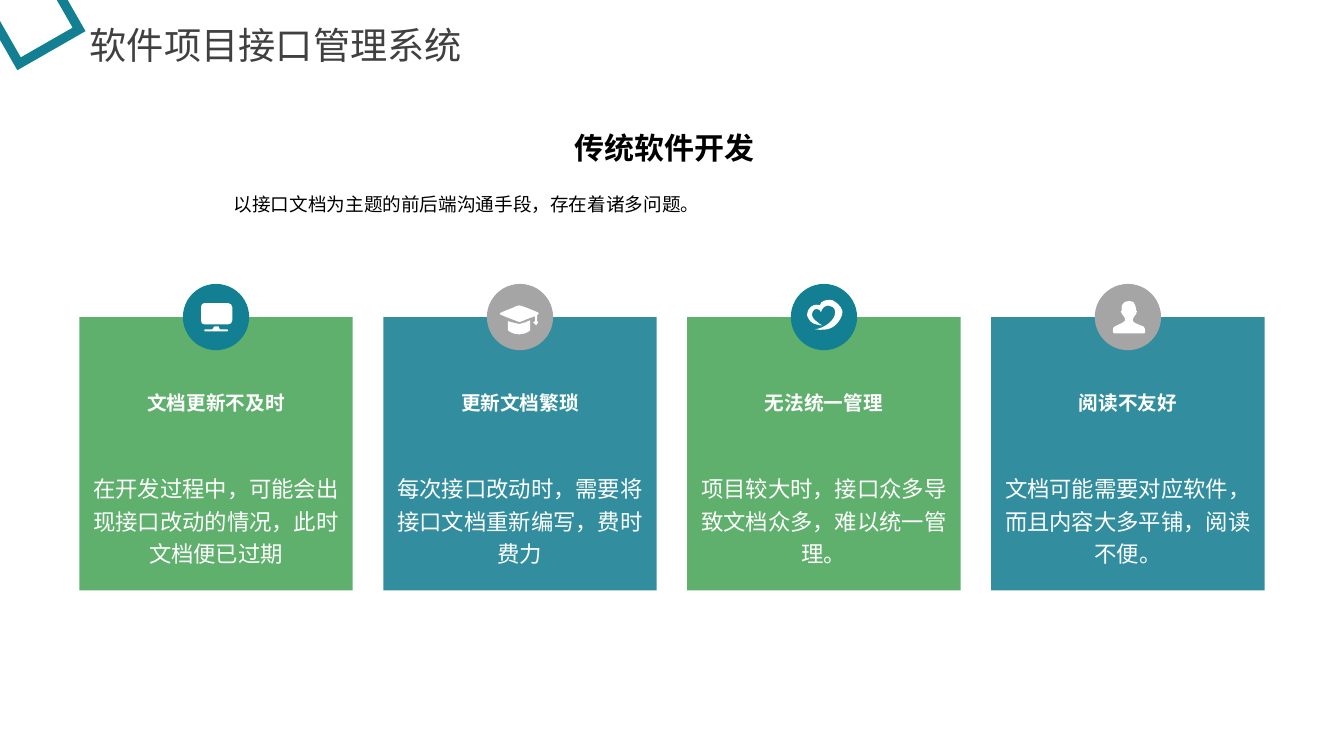
from lxml import etree
from pptx import Presentation
from pptx.dml.color import RGBColor
from pptx.enum.shapes import MSO_SHAPE
from pptx.enum.text import MSO_ANCHOR, PP_ALIGN
from pptx.oxml.ns import qn
from pptx.util import Cm, Pt

RECTANGLE, OVAL, FRAME = MSO_SHAPE.RECTANGLE, MSO_SHAPE.OVAL, MSO_SHAPE.FRAME
LEFT, CENTER = PP_ALIGN.LEFT, PP_ALIGN.CENTER
TOP, MIDDLE = MSO_ANCHOR.TOP, MSO_ANCHOR.MIDDLE
FONT = "Noto Sans CJK SC"
WHITE, BLACK, GRAY, TEAL = "FFFFFF", "000000", "A5A5A5", "127F93"
GREEN, BLUE = "45A454", "117C90"
CARD_OPACITY = "86000"

CARD_LEFT, CARD_TOP, CARD_SIZE, CARD_STEP = 2.0, 7.99, 6.89, 7.66
BADGE_SIZE = 1.67
LABEL_WIDTH = 3.63
ICON_UNIT = Cm(2.54) / 100

MONITOR = [
    [(45, 40), (21, 40), (19, 40, 18, 39, 18, 36), (18, 23),
     (18, 21, 19, 19, 21, 19), (45, 19), (47, 19, 49, 21, 49, 23),
     (49, 36), (49, 39, 47, 40, 45, 40)],
    [(22, 45), (29, 45), (30, 44), (30, 43, 31, 42, 32, 42), (35, 42),
     (36, 42, 36, 43, 36, 44), (37, 45), (44, 45), (45, 45, 45, 45, 45, 46),
     (45, 46, 45, 47, 44, 47), (22, 47), (21, 46)],
]
GRADUATION_CAP = [
    [(50, 31), (50, 37), (51, 38), (49, 41), (46, 38), (48, 37), (48, 32),
     (39, 35, 37, 36, 35, 37), (33, 38, 32, 38, 30, 37),
     (28, 36, 19, 33, 15, 31), (12, 30, 12, 29, 15, 28),
     (19, 26, 26, 24, 29, 22), (31, 21, 33, 21, 35, 22),
     (38, 23, 46, 26, 50, 28), (53, 29, 51, 30, 50, 31)],
    [(35, 39), (37, 39, 40, 37, 43, 36), (43, 46), (43, 46, 39, 50, 32, 50),
     (25, 50, 21, 46, 21, 46), (21, 37), (23, 38, 26, 38, 29, 39),
     (31, 40, 33, 40, 35, 39)],
]
HEART = [
    [(29, 21), (29, 17, 36, 15, 41, 16), (45, 18, 49, 21, 51, 26),
     (52, 29, 50, 33, 49, 35), (44, 43, 38, 47, 24, 45),
     (33, 44, 45, 36, 44, 27), (43, 20, 32, 19, 30, 28),
     (29, 24, 23, 24, 22, 27), (18, 34, 28, 39, 31, 41),
     (30, 41, 30, 41, 29, 41), (24, 40, 20, 39, 18, 35),
     (13, 29, 19, 22, 23, 21), (24, 20, 26, 21, 29, 21)],
]
PERSON = [
    [(48, 42), (45, 41, 40, 39, 39, 38), (38, 38, 37, 36, 38, 34),
     (38, 34, 39, 33, 40, 31), (40, 31, 40, 30, 41, 30),
     (42, 28, 42, 26, 41, 26), (41, 26, 41, 22, 40, 21),
     (40, 19, 38, 17, 34, 17), (30, 17, 28, 19, 27, 21),
     (26, 23, 27, 26, 27, 26), (26, 26, 25, 28, 27, 30), (28, 31),
     (29, 33, 30, 34, 30, 34), (31, 36, 29, 38, 28, 38),
     (27, 39, 22, 41, 20, 42), (18, 43, 18, 44, 18, 46), (18, 48),
     (18, 48, 18, 49, 19, 49), (49, 49), (50, 48), (50, 46),
     (50, 44, 49, 43, 48, 42)],
]
PROBLEMS = [
    ("文档更新不及时", "在开发过程中，可能会出现接口改动的情况，此时文档便已过期", GREEN, TEAL, MONITOR),
    ("更新文档繁琐", "每次接口改动时，需要将接口文档重新编写，费时费力", BLUE, GRAY, GRADUATION_CAP),
    ("无法统一管理", "项目较大时，接口众多导致文档众多，难以统一管理。", GREEN, TEAL, HEART),
    ("阅读不友好", "文档可能需要对应软件，而且内容大多平铺，阅读不便。", BLUE, GRAY, PERSON),
]


def paint(fill, color):
    fill.solid()
    fill.fore_color.rgb = RGBColor.from_string(color)


def write(shape, text, size, color, align=CENTER, bold=False, spacing=1.0, **frame_format):
    frame = shape.text_frame
    for key, value in {"word_wrap": True, "vertical_anchor": TOP, **frame_format}.items():
        setattr(frame, key, value)
    paragraph = frame.paragraphs[0]
    paragraph.alignment = align
    paragraph.line_spacing = spacing
    run = paragraph.add_run()
    run.text = text
    for key, value in {"size": Pt(size), "bold": bold, "name": FONT}.items():
        setattr(run.font, key, value)
    paint(run.font.fill, color)
    etree.SubElement(run.font._element, qn("a:ea"), typeface=FONT)


prs = Presentation()
prs.slide_width, prs.slide_height = Cm(33.87), Cm(19.05)
slide = prs.slides.add_slide(prs.slide_layouts[6])
shapes = slide.shapes
figures = []

for index, (name, detail, card_color, badge_color, outlines) in enumerate(PROBLEMS):
    left = CARD_LEFT + index * CARD_STEP
    card = shapes.add_shape(RECTANGLE, Cm(left), Cm(CARD_TOP), Cm(CARD_SIZE), Cm(CARD_SIZE))
    paint(card.fill, card_color)
    card_tint = card.fill._xPr.find(qn("a:solidFill"))[0]
    etree.SubElement(card_tint, qn("a:alpha"), val=CARD_OPACITY)
    write(card, detail, 16, WHITE, spacing=1.2, margin_top=Cm(3.86))

    label_left = left + (CARD_SIZE - LABEL_WIDTH) / 2
    label = shapes.add_textbox(Cm(label_left), Cm(9.73), Cm(LABEL_WIDTH), Cm(0.86))
    write(label, name, 14, WHITE, bold=True, word_wrap=False, margin_left=0, margin_right=0)

    badge_left = Cm(left + (CARD_SIZE - BADGE_SIZE) / 2)
    badge_top = Cm(CARD_TOP - BADGE_SIZE / 2)
    badge = shapes.add_shape(OVAL, badge_left, badge_top, Cm(BADGE_SIZE), Cm(BADGE_SIZE))
    paint(badge.fill, badge_color)

    builder = shapes.build_freeform(*outlines[0][0], scale=ICON_UNIT)
    for number, outline in enumerate(outlines):
        if number:
            builder.move_to(*outline[0])
        builder.add_line_segments([segment[-2:] for segment in outline[1:]], close=True)
    icon = builder.convert_to_shape(badge_left, badge_top)
    paint(icon.fill, WHITE)

    min_x = min(segment[-2] for outline in outlines for segment in outline)
    min_y = min(segment[-1] for outline in outlines for segment in outline)
    segments = [segment for outline in outlines for segment in outline[1:]]
    for segment, edge in zip(segments, list(icon._element.iter(qn("a:lnTo")))):
        if len(segment) == 6:
            edge.tag = qn("a:cubicBezTo")
            for position, (x, y) in enumerate((segment[:2], segment[2:4])):
                control = etree.Element(qn("a:pt"), x=str(x - min_x), y=str(y - min_y))
                edge.insert(position, control)
    figures += [card, badge, icon]

subtitle = shapes.add_textbox(Cm(5.64), Cm(4.45), Cm(22.4), Cm(1.47))
write(subtitle, "以接口文档为主题的前后端沟通手段，存在着诸多问题。", 13.3, BLACK, LEFT, spacing=1.5)

heading = shapes.add_textbox(Cm(5.63), Cm(3.12), Cm(22.4), Cm(1.19))
write(heading, "传统软件开发 ", 21.4, BLACK, bold=True, vertical_anchor=MIDDLE)

title = shapes.add_textbox(Cm(2.01), Cm(0.43), Cm(11.3), Cm(1.4))
write(title, "软件项目接口管理系统", 26.6, "404040", LEFT)

corner = shapes.add_shape(FRAME, Cm(-0.23), Cm(-0.74), Cm(1.98), Cm(2.16))
corner.adjustments[0] = 0.12
corner.rotation = 330.2
paint(corner.fill, TEAL)
figures.append(corner)

for figure in figures:
    figure.shadow.inherit = False
    figure.line.fill.background()

prs.save("out.pptx")
